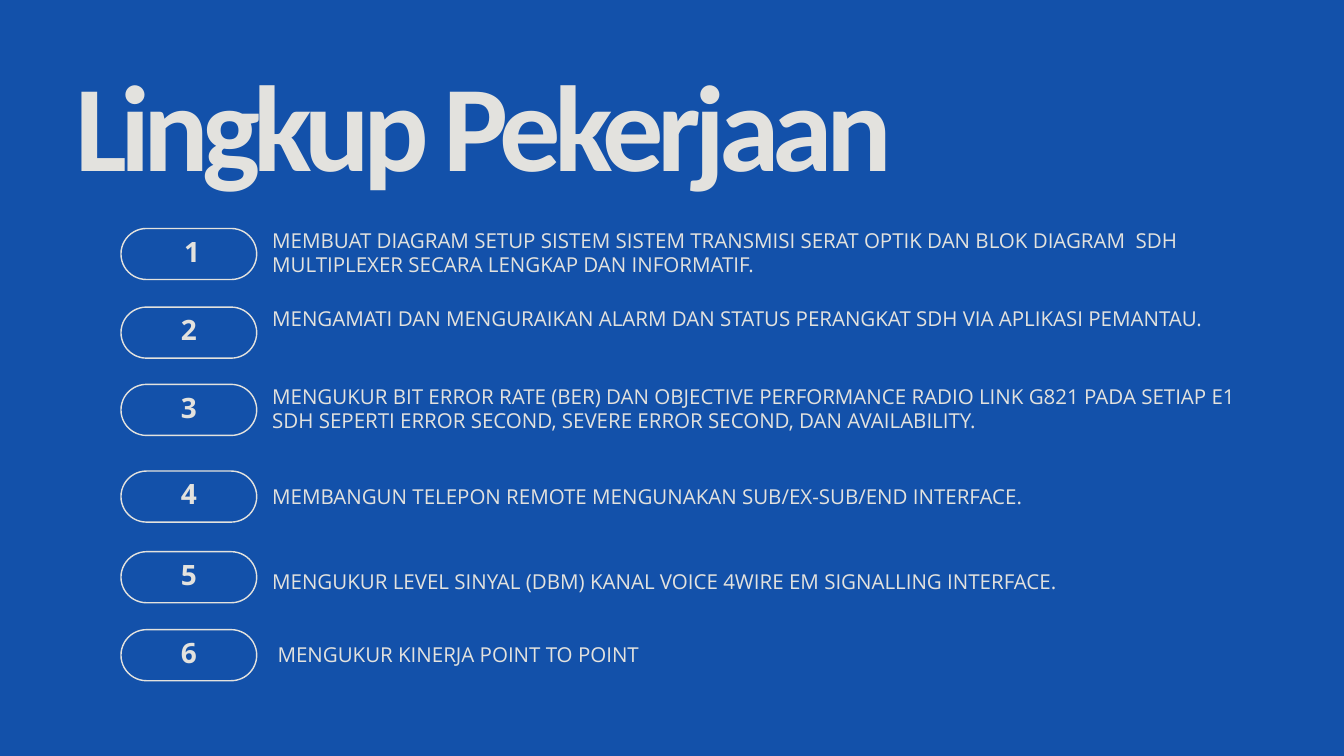
from dataclasses import dataclass

from pptx import Presentation
from pptx.dml.color import RGBColor
from pptx.enum.shapes import MSO_SHAPE
from pptx.enum.text import MSO_AUTO_SIZE, PP_ALIGN
from pptx.util import Inches, Pt

PILL = MSO_SHAPE.ROUNDED_RECTANGLE
GROW = MSO_AUTO_SIZE.SHAPE_TO_FIT_TEXT
LEFT, CENTER = PP_ALIGN.LEFT, PP_ALIGN.CENTER

COLORS = {"background": "1351AA", "ink": "E3E2DE"}


@dataclass
class Task:
    top: float
    text_top: float
    text: str
    lines: int = 1
    number_shift: float = 0
    text_shift: float = 0


TASKS = [
    Task(3.4, 3.39, "MEMBUAT DIAGRAM SETUP SISTEM SISTEM TRANSMISI SERAT OPTIK DAN BLOK "
         "DIAGRAM  SDH MULTIPLEXER SECARA LENGKAP DAN INFORMATIF.", 2, number_shift=0.05),
    Task(4.57, 4.56, "MENGAMATI DAN MENGURAIKAN ALARM DAN STATUS PERANGKAT SDH VIA "
         "APLIKASI PEMANTAU.", 2),
    Task(5.72, 5.71, "MENGUKUR BIT ERROR RATE (BER) DAN OBJECTIVE PERFORMANCE RADIO LINK "
         "G821 PADA SETIAP E1 SDH SEPERTI ERROR SECOND, SEVERE ERROR SECOND, DAN "
         "AVAILABILITY.", 2),
    Task(7.01, 7.2, "MEMBANGUN TELEPON REMOTE MENGUNAKAN SUB/EX-SUB/END INTERFACE."),
    Task(8.21, 8.46, "MENGUKUR LEVEL SINYAL (DBM) KANAL VOICE 4WIRE EM SIGNALLING "
         "INTERFACE."),
    Task(9.37, 9.55, "MENGUKUR KINERJA POINT TO POINT", text_shift=0.08),
]


def color(name: str) -> RGBColor:
    return RGBColor.from_string(COLORS[name])


def add_text(page, text: str, left: float, top: float, width: float, height: float, *,
             size: float, line_height: float, font: str = "Open Sans",
             bold: bool = False, spacing: float = 0, align=LEFT) -> None:
    box = page.shapes.add_textbox(Inches(left), Inches(top), Inches(width), Inches(height))
    frame = box.text_frame
    frame.word_wrap = True
    frame.auto_size = GROW
    frame.margin_left = frame.margin_right = frame.margin_top = frame.margin_bottom = 0
    para = frame.paragraphs[0]
    para.alignment = align
    para.line_spacing = Pt(line_height)
    span = para.add_run()
    span.text = text
    span.font.name = font
    span.font.size = Pt(size)
    span.font.bold = bold
    span.font.color.rgb = color("ink")
    if spacing:
        span.font._element.set("spc", str(round(spacing * 100)))


def add_pill(page, top: float) -> None:
    pill = page.shapes.add_shape(PILL, Inches(1.8), Inches(top), Inches(2.02), Inches(0.76))
    pill.adjustments[0] = 0.5
    pill.shadow.inherit = False
    pill.fill.background()
    pill.line.color.rgb = color("ink")
    pill.line.width = Pt(1.5)


def add_task(page, number: int, task: Task) -> None:
    add_pill(page, task.top)
    add_text(page, str(number), 2.09 + task.number_shift, task.top + 0.24, 1.44, 0.39,
             size=30, line_height=24.9, bold=True, spacing=-0.9, align=CENTER)
    add_text(page, task.text, 4.05 + task.text_shift, task.text_top, 14.36,
             0.37 * task.lines, size=22, line_height=26.4)


def main() -> None:
    deck = Presentation()
    deck.slide_width, deck.slide_height = Inches(20), Inches(11.25)
    page = deck.slides.add_slide(deck.slide_layouts[6])
    page.background.fill.solid()
    page.background.fill.fore_color.rgb = color("background")

    # Title
    add_text(page, "Lingkup Pekerjaan", 1.12, 1.1, 15.62, 1.91, size=131,
             line_height=131, font="Calibri", bold=True, spacing=-7.2)

    # Numbered tasks
    for number, task in enumerate(TASKS, start=1):
        add_task(page, number, task)

    deck.save("out.pptx")


if __name__ == "__main__":
    main()
